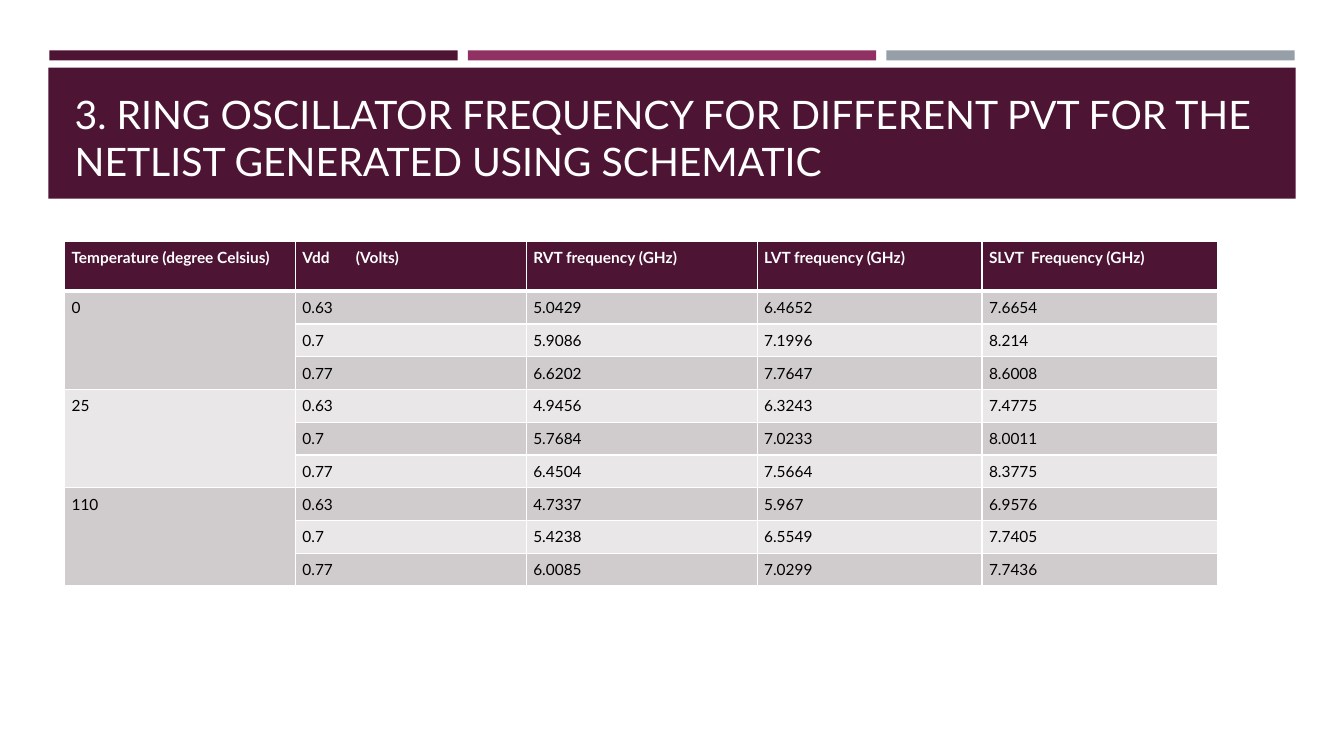
from dataclasses import dataclass

from lxml import etree
from pptx import Presentation
from pptx.dml.color import RGBColor
from pptx.enum.shapes import MSO_SHAPE
from pptx.enum.text import MSO_ANCHOR, MSO_AUTO_SIZE, PP_ALIGN
from pptx.oxml.ns import qn
from pptx.util import Inches, Pt

RECTANGLE = MSO_SHAPE.RECTANGLE
LEFT = PP_ALIGN.LEFT
TOP, BOTTOM = MSO_ANCHOR.TOP, MSO_ANCHOR.BOTTOM
NO_AUTOFIT = MSO_AUTO_SIZE.NONE


@dataclass(frozen=True)
class Theme:
    font: str = "Lato"
    plum: str = "4D1434"
    magenta: str = "903163"
    gray: str = "969FA7"
    white: str = "FFFFFF"
    black: str = "000000"
    band_dark: str = "D0CCCE"
    band_light: str = "E9E7E8"
    title_size: int = 28
    table_size: int = 11
    grid_width: int = 1
    header_rule_width: int = 3


@dataclass(frozen=True)
class Bar:
    left: float
    top: float
    width: float
    height: float
    color: str


THEME = Theme()
ACCENT_LEFT, ACCENT_STEP = 0.49, 4.15
BARS = [
    Bar(ACCENT_LEFT + index * ACCENT_STEP, 0.5, 4.05, 0.1, color)
    for index, color in enumerate((THEME.plum, THEME.magenta, THEME.gray))
] + [Bar(0.48, 0.67, 12.37, 1.3, THEME.plum)]

TITLE = "3. RING OSCILLATOR FREQUENCY FOR DIFFERENT PVT FOR THE NETLIST GENERATED USING SCHEMATIC"
HEADERS = [
    "Temperature (degree Celsius)",
    "Vdd\t(Volts)",
    "RVT frequency (GHz)",
    "LVT frequency (GHz)",
    "SLVT\u00a0 Frequency (GHz)",
]
VOLTAGES = ["0.63", "0.7", "0.77"]
FREQUENCIES = {
    "0": [("5.0429", "6.4652", "7.6654"), ("5.9086", "7.1996", "8.214"), ("6.6202", "7.7647", "8.6008")],
    "25": [("4.9456", "6.3243", "7.4775"), ("5.7684", "7.0233", "8.0011"), ("6.4504", "7.5664", "8.3775")],
    "110": [("4.7337", "5.967", "6.9576"), ("5.4238", "6.5549", "7.7405"), ("6.0085", "7.0299", "7.7436")],
}
COLUMN_WIDTHS = [2.29, 2.29, 2.29, 2.23, 2.34]
HEADER_HEIGHT, ROW_HEIGHT = 0.5, 0.32
CELL_INSET = 0.07
VOLTS_TAB = 0.53


def set_attributes(target, values: dict) -> None:
    for name, value in values.items():
        setattr(target, name, value)


def write_text(paragraph, text: str, size: int, color: str, bold: bool = False) -> None:
    paragraph.alignment = LEFT
    run = paragraph.add_run()
    run.text = text
    set_attributes(run.font, {"name": THEME.font, "size": Pt(size), "bold": bold})
    run.font.color.rgb = RGBColor.from_string(color)


def draw_bar(slide, bar: Bar) -> None:
    shape = slide.shapes.add_shape(
        RECTANGLE, Inches(bar.left), Inches(bar.top), Inches(bar.width), Inches(bar.height)
    )
    shape.shadow.inherit = False
    shape.fill.solid()
    shape.fill.fore_color.rgb = RGBColor.from_string(bar.color)
    shape.line.fill.background()


def draw_title(slide) -> None:
    title = slide.shapes.title
    set_attributes(title, {
        "left": Inches(0.64), "top": Inches(0.77), "width": Inches(12.06), "height": Inches(1.11),
    })
    set_attributes(title.text_frame, {
        "word_wrap": True, "auto_size": NO_AUTOFIT, "vertical_anchor": BOTTOM,
    })
    write_text(title.text_frame.paragraphs[0], TITLE, THEME.title_size, THEME.white)
    slide.shapes.element.append(title.element)


def add_borders(cell, row: int) -> None:
    properties = cell._tc.get_or_add_tcPr()
    heavy_side = {0: "lnB", 1: "lnT"}.get(row)
    for side in ("lnL", "lnR", "lnT", "lnB"):
        width = THEME.header_rule_width if side == heavy_side else THEME.grid_width
        line = etree.SubElement(properties, qn(f"a:{side}"), w=str(Pt(width)))
        fill = etree.SubElement(line, qn("a:solidFill"))
        etree.SubElement(fill, qn("a:srgbClr"), val=THEME.white)


def add_tab_stop(paragraph, position: float) -> None:
    tabs = etree.SubElement(paragraph._p.get_or_add_pPr(), qn("a:tabLst"))
    etree.SubElement(tabs, qn("a:tab"), pos=str(Inches(position)), algn="l")


def format_cell(cell, row: int, text: str) -> None:
    is_header = row == 0
    band = THEME.band_dark if row % 2 else THEME.band_light
    add_borders(cell, row)
    cell.fill.solid()
    cell.fill.fore_color.rgb = RGBColor.from_string(THEME.plum if is_header else band)
    sides = ("margin_left", "margin_right", "margin_top", "margin_bottom")
    set_attributes(cell, dict.fromkeys(sides, Inches(CELL_INSET)))
    cell.vertical_anchor = TOP
    paragraph = cell.text_frame.paragraphs[0]
    if text:
        color = THEME.white if is_header else THEME.black
        write_text(paragraph, text, THEME.table_size, color, is_header)
    if "\t" in text:
        add_tab_stop(paragraph, VOLTS_TAB)


def draw_table(slide) -> None:
    rows = [HEADERS]
    for temperature, readings in FREQUENCIES.items():
        for index, (voltage, values) in enumerate(zip(VOLTAGES, readings)):
            rows.append([temperature if index == 0 else "", voltage, *values])
    heights = [HEADER_HEIGHT] + [ROW_HEIGHT] * (len(rows) - 1)
    table = slide.shapes.add_table(
        len(rows), len(HEADERS), Inches(0.64), Inches(2.39),
        Inches(sum(COLUMN_WIDTHS)), Inches(sum(heights)),
    ).table
    for column, width in zip(table.columns, COLUMN_WIDTHS):
        column.width = Inches(width)
    for table_row, height in zip(table.rows, heights):
        table_row.height = Inches(height)
    for row, texts in enumerate(rows):
        for column, text in enumerate(texts):
            format_cell(table.cell(row, column), row, text)
    group_size = len(VOLTAGES)
    for first in range(1, len(rows), group_size):
        table.cell(first, 0).merge(table.cell(first + group_size - 1, 0))


def main() -> None:
    presentation = Presentation()
    presentation.slide_width = Inches(13.33)
    presentation.slide_height = Inches(7.5)
    title_only = presentation.slide_layouts.get_by_name("Title Only")
    slide = presentation.slides.add_slide(title_only)
    for bar in BARS:
        draw_bar(slide, bar)
    draw_title(slide)
    draw_table(slide)
    presentation.save("out.pptx")


main()
